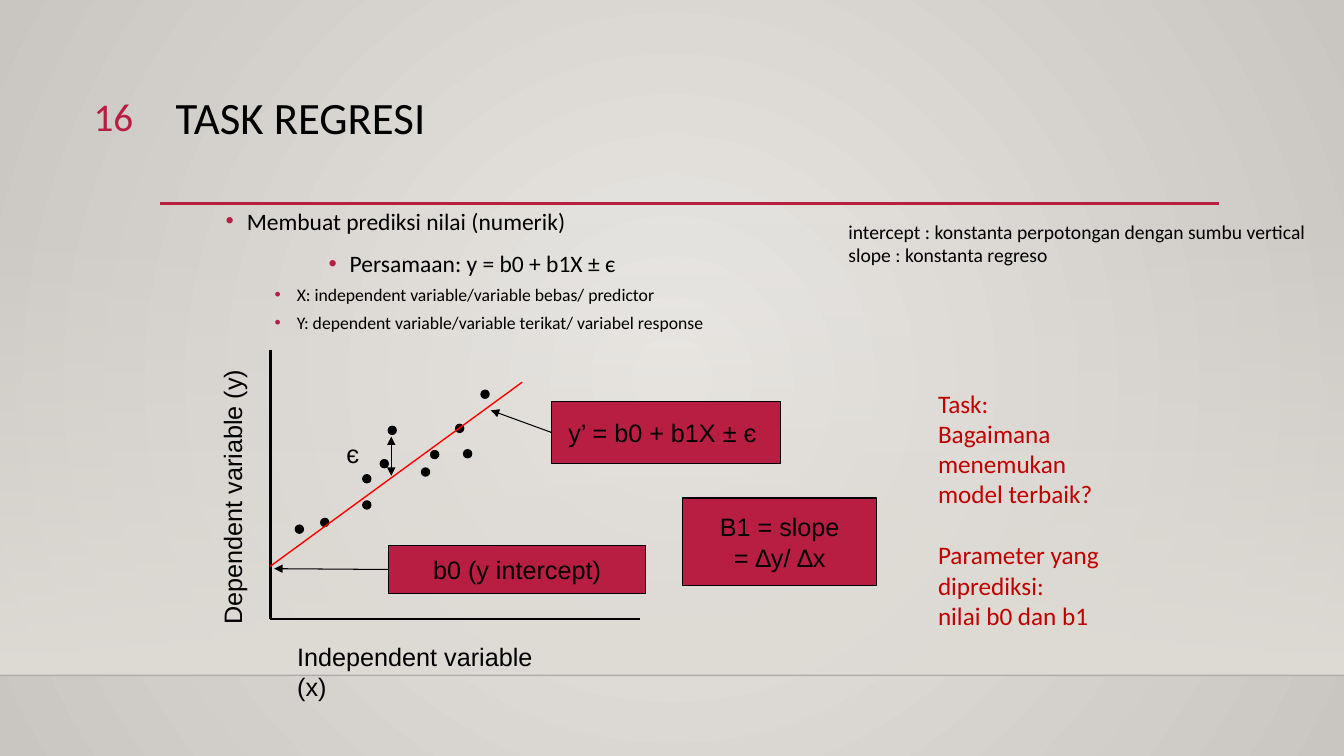
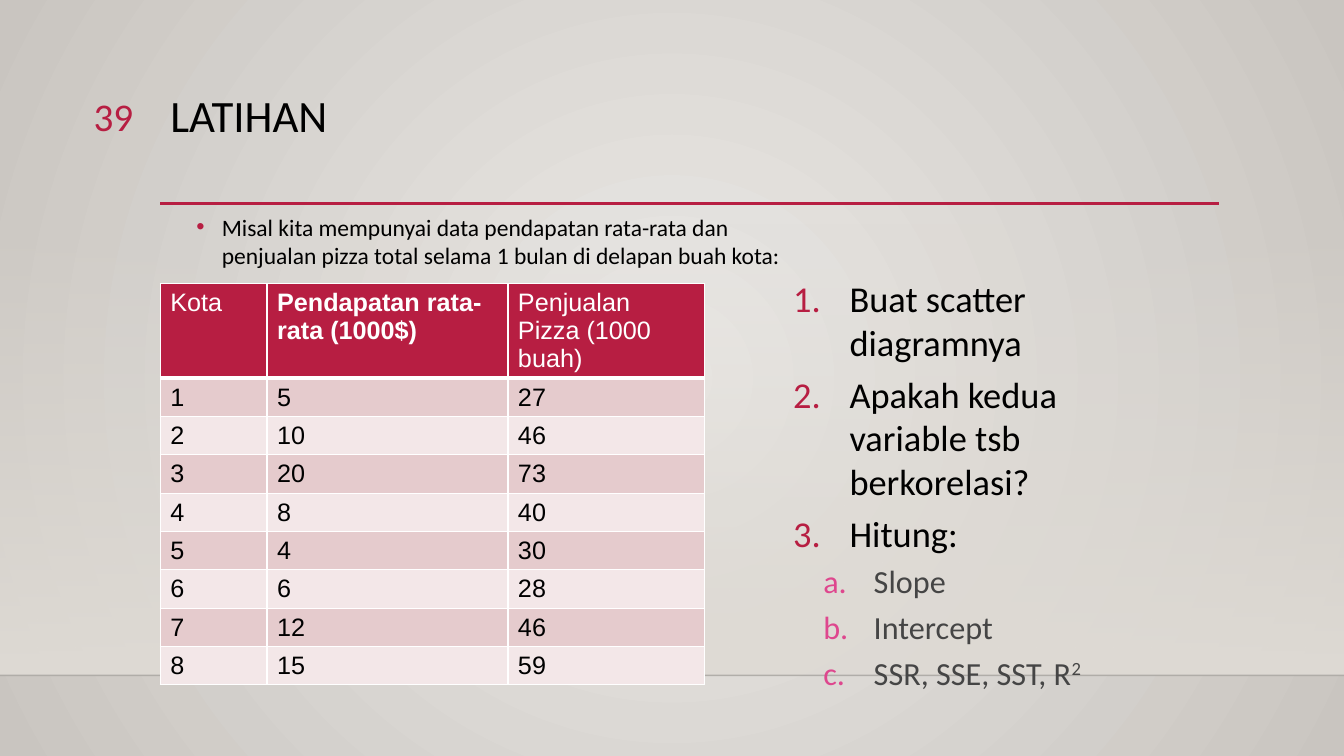
from dataclasses import dataclass

from lxml import etree
from pptx import Presentation
from pptx.dml.color import RGBColor
from pptx.enum.shapes import MSO_CONNECTOR, MSO_SHAPE
from pptx.enum.text import MSO_ANCHOR, MSO_AUTO_SIZE, PP_ALIGN
from pptx.oxml.ns import qn
from pptx.util import Cm, Pt

STRAIGHT = MSO_CONNECTOR.STRAIGHT
RECT, OVAL = MSO_SHAPE.RECTANGLE, MSO_SHAPE.OVAL
TOP, MIDDLE = MSO_ANCHOR.TOP, MSO_ANCHOR.MIDDLE
LEFT, CENTER, RIGHT = PP_ALIGN.LEFT, PP_ALIGN.CENTER, PP_ALIGN.RIGHT
NO_FIT = MSO_AUTO_SIZE.NONE
LEFT_SIDE = 1


@dataclass(frozen=True)
class Theme:
    heading: str = "Calibri"
    label: str = "Arial"
    accent: str = "B71E42"
    pink: str = "DE478E"
    black: str = "000000"
    white: str = "FFFFFF"
    grey: str = "454545"
    task: str = "C00000"
    fit: str = "FF0000"
    center: str = "EBE9E6"
    edge: str = "C9C5C0"
    floor: str = "DFDBD5"
    band_dark: str = "E5CBCD"
    band_light: str = "F3E7E8"
    title_size: float = 32
    number_size: float = 28
    question_size: float = 26
    part_size: float = 23
    text_size: float = 18
    point_size: float = 16.8
    note_size: float = 14
    detail_size: float = 12.6


T = Theme()


def write(tf, text, size, color, font=T.heading, align=LEFT, anchor=TOP):
    """Fill a text frame, one paragraph per line of text."""
    tf.text = text
    tf.word_wrap = True
    tf.auto_size = NO_FIT
    tf.vertical_anchor = anchor
    for p in tf.paragraphs:
        p.alignment = align
        for r in p.runs:
            r.font.name, r.font.size = font, Pt(size)
            r.font.color.rgb = RGBColor.from_string(color)


def draw_line(s, x1, y1, x2, y2, width, color=T.black, arrows=()):
    """Draw a straight line; arrows lists headEnd and/or tailEnd."""
    line = s.shapes.add_connector(STRAIGHT, Cm(x1), Cm(y1), Cm(x2), Cm(y2))
    line.line.width = Pt(width)
    line.line.color.rgb = RGBColor.from_string(color)
    spPr = line._element.spPr
    for end in arrows:
        etree.SubElement(spPr.find(qn("a:ln")), qn(f"a:{end}"), type="triangle")
    etree.SubElement(spPr, qn("a:effectLst"))
    return line


prs = Presentation()
prs.slide_width, prs.slide_height = Cm(33.87), Cm(19.05)

# Background, shared through the master
master = prs.slide_master
fill = master.background.fill
fill.gradient()
for stop, color in zip(fill.gradient_stops, (T.center, T.edge)):
    stop.color.rgb = RGBColor.from_string(color)
grad = master.element.find(".//" + qn("p:bgPr")).find(qn("a:gradFill"))
grad.remove(grad.find(qn("a:lin")))
circle = etree.SubElement(grad, qn("a:path"), path="circle")
etree.SubElement(circle, qn("a:fillToRect"), l="50000", t="50000", r="50000", b="50000")

# Frame of both slides: floor band, rules, title and number
slides = []
for title, number, box in (
    ("TASK REGRESI", "16", (4.17, 2.29, 23.62, 1.78)),
    ("LATIHAN", "39", (4.04, 2.24, 26.67, 2.92)),
):
    s = prs.slides.add_slide(prs.slide_layouts[5])
    slides.append(s)
    band = s.shapes.add_shape(RECT, 0, Cm(5.61), prs.slide_width, Cm(11.41))
    band.shadow.inherit = False
    band.line.fill.background()
    band.fill.gradient()
    band.fill.gradient_angle = 270
    for stop in band.fill.gradient_stops:
        stop.color.rgb = RGBColor.from_string(T.floor)
    clear = band._element.spPr.find(".//" + qn("a:srgbClr"))
    etree.SubElement(clear, qn("a:alpha"), val="0")
    horizon = draw_line(s, 0, 17.02, 33.87, 17.02, 1)
    ink = horizon._element.spPr.find(".//" + qn("a:srgbClr"))
    etree.SubElement(ink, qn("a:alpha"), val="20000")
    draw_line(s, 4.04, 5.13, 30.73, 5.13, 2.5, T.accent)

    sp = s.shapes.title
    sp.left, sp.top, sp.width, sp.height = map(Cm, box)
    write(sp.text_frame, title, T.title_size, T.black)
    sp.text_frame.paragraphs[0].line_spacing = 0.9
    sp = s.shapes.add_textbox(Cm(1.35), Cm(2.21), Cm(2.26), Cm(1.4))
    write(sp.text_frame, number, T.number_size, T.accent, align=RIGHT)

regression, exercise = slides

# Scatter plot: axes, points, fitted line, error
s = regression
draw_line(s, 6.81, 8.81, 6.81, 15.6, 2)
draw_line(s, 6.81, 15.6, 16.13, 15.6, 2)
for x, y in (
    (7.44, 13.23), (8.08, 13.06), (9.14, 12.62), (9.14, 11.96),
    (9.58, 11.58), (9.78, 10.74), (10.62, 11.79), (10.85, 11.35),
    (11.48, 10.69), (11.68, 11.33), (12.12, 9.83),
):
    dot = s.shapes.add_shape(OVAL, Cm(x), Cm(y), Cm(0.21), Cm(0.21))
    dot.shadow.inherit = False
    dot.fill.solid()
    dot.fill.fore_color.rgb = dot.line.color.rgb = RGBColor.from_string(T.black)
    dot.line.width = Pt(0.75)
draw_line(s, 6.81, 14.27, 13.16, 9.63, 1, T.fit)
draw_line(s, 9.86, 11, 9.86, 11.99, 0.75, arrows=("headEnd", "tailEnd"))

# Callouts, with the point each one's arrow reaches
for text, box, target in (
    ("y’ = b0 + b1X ± є ", (13.89, 10.11, 5.79, 1.57), (12.37, 10.34)),
    ("b0 (y intercept)", (9.78, 13.74, 6.5, 1.22), (6.91, 14.33)),
    ("B1 = slope\n= ∆y/ ∆x", (17.2, 12.55, 4.9, 2.21), None),
):
    sp = s.shapes.add_shape(RECT, *map(Cm, box))
    sp.shadow.inherit = False
    sp.fill.solid()
    sp.fill.fore_color.rgb = RGBColor.from_string(T.accent)
    sp.line.color.rgb = RGBColor.from_string(T.black)
    sp.line.width = Pt(0.75)
    write(sp.text_frame, text, T.text_size, T.black, T.label, CENTER, MIDDLE)
    if target:
        arrow = draw_line(s, box[0], box[1], *target, 0.75, arrows=("tailEnd",))
        arrow.begin_connect(sp, LEFT_SIDE)

# Plot labels and side notes
task = (
    "Task:\nBagaimana menemukan model terbaik?\n"
    "Parameter yang diprediksi:\nnilai b0 dan b1"
)
notes = (
    "intercept : konstanta perpotongan dengan sumbu vertical\n"
    "slope : konstanta regreso"
)
for text, box, turn, size, color, font in (
    ("Independent variable (x)", (7.24, 16.03, 7.3, 1.02), 0, T.text_size, T.black, T.label),
    ("Dependent variable (y)", (2.21, 11.84, 7.29, 1.02), 270, T.text_size, T.black, T.label),
    ("є", (8.48, 10.92, 0.84, 1.02), 0, T.text_size, T.black, T.label),
    (notes, (21.13, 5.41, 12.2, 1.45), 0, T.note_size, T.black, T.heading),
    (task, (23.39, 9.65, 5.41, 6.4), 0, T.text_size, T.task, T.heading),
):
    sp = s.shapes.add_textbox(*map(Cm, box))
    sp.rotation = turn
    write(sp.text_frame, text, size, color, font)
    if text == task:
        sp.text_frame.paragraphs[2].space_before = Pt(22)

# Table of income and pizza sales
rows = [
    ("Kota", "Pendapatan rata-rata (1000$)", "Penjualan Pizza (1000 buah)"),
    (1, 5, 27), (2, 10, 46), (3, 20, 73), (4, 8, 40),
    (5, 4, 30), (6, 6, 28), (7, 12, 46), (8, 15, 59),
]
widths = (2.69, 6.07, 4.95)
table = exercise.shapes.add_table(
    len(rows), len(widths), Cm(4.04), Cm(7.14), Cm(sum(widths)), Cm(10.08)
).table
for column, width in zip(table.columns, widths):
    column.width = Cm(width)
for i, values in enumerate(rows):
    header = i == 0
    table.rows[i].height = Cm(2.36 if header else 0.965)
    back = T.accent if header else T.band_dark if i % 2 else T.band_light
    edges = {"lnL": 1, "lnR": 1, "lnT": 3 if i == 1 else 1, "lnB": 3 if header else 1}
    for j, value in enumerate(values):
        cell = table.cell(i, j)
        write(cell.text_frame, str(value), T.text_size,
              T.white if header else T.black, T.label)
        cell.text_frame.paragraphs[0].runs[0].font.bold = header and j == 1
        cell.fill.solid()
        cell.fill.fore_color.rgb = RGBColor.from_string(back)
        tcPr = cell._tc.get_or_add_tcPr()
        for k, (edge, width) in enumerate(edges.items()):
            ln = etree.Element(qn(f"a:{edge}"), w=str(Pt(width)))
            paint = etree.SubElement(ln, qn("a:solidFill"))
            etree.SubElement(paint, qn("a:srgbClr"), val=T.white)
            tcPr.insert(k, ln)

# Bulleted text: level, size, colour, bullet colour, left and hang in cm, space before
point = (0, T.point_size, T.black, T.accent, 0.64, 0.53, 10)
wide_point = (0, T.point_size, T.black, T.accent, 0.64, 0.64, 10)
detail = (1, T.detail_size, T.black, T.accent, 1.9, 0.56, 5)
question = (0, T.question_size, T.black, T.accent, 1.42, 1.42, 6)
part = (1, T.part_size, T.grey, T.pink, 2.03, 1.27, 5)
numbering = {question: "arabicPeriod", part: "alphaLcPeriod"}
for s, box, items in (
    (regression, (5.33, 5.08, 13.16, 3.66), (
        ("Membuat prediksi nilai (numerik)", point, LEFT),
        ("Persamaan: y = b0 + b1X ± є ", point, CENTER),
        ("X: independent variable/variable bebas/ predictor", detail, LEFT),
        ("Y: dependent variable/variable terikat/ variabel response", detail, LEFT),
    )),
    (exercise, (4.7, 5.23, 16.05, 1.9), (
        ("Misal kita mempunyai data pendapatan rata-rata dan penjualan pizza total "
         "selama 1 bulan di delapan buah kota:", wide_point, LEFT),
    )),
    (exercise, (19.74, 6.83, 9.4, 10.9), (
        ("Buat scatter diagramnya", question, LEFT),
        ("Apakah kedua variable tsb berkorelasi?", question, LEFT),
        ("Hitung:", question, LEFT),
        ("Slope", part, LEFT),
        ("Intercept", part, LEFT),
        ("SSR, SSE, SST, R^2", part, LEFT),
    )),
):
    tf = s.shapes.add_textbox(*map(Cm, box)).text_frame
    tf.word_wrap = True
    for i, (text, style, align) in enumerate(items):
        level, size, color, bullet_color, left, hang, before = style
        p = tf.add_paragraph() if i else tf.paragraphs[0]
        base, _, raised = text.partition("^")
        p.text = base
        if raised:
            r = p.add_run()
            r.text = raised
            r._r.get_or_add_rPr().set("baseline", "30000")
        for r in p.runs:
            r.font.name, r.font.size = T.heading, Pt(size)
            r.font.color.rgb = RGBColor.from_string(color)
        p.level, p.alignment = level, align
        p.space_before = Pt(before if i else 0)
        pPr = p._p.get_or_add_pPr()
        pPr.set("marL", str(Cm(left)))
        pPr.set("indent", str(-Cm(hang)))
        paint = etree.SubElement(pPr, qn("a:buClr"))
        etree.SubElement(paint, qn("a:srgbClr"), val=bullet_color)
        if style in numbering:
            etree.SubElement(pPr, qn("a:buAutoNum"), type=numbering[style])
        else:
            etree.SubElement(pPr, qn("a:buFont"), typeface=T.label)
            etree.SubElement(pPr, qn("a:buChar"), char="•")

prs.save("out.pptx")
